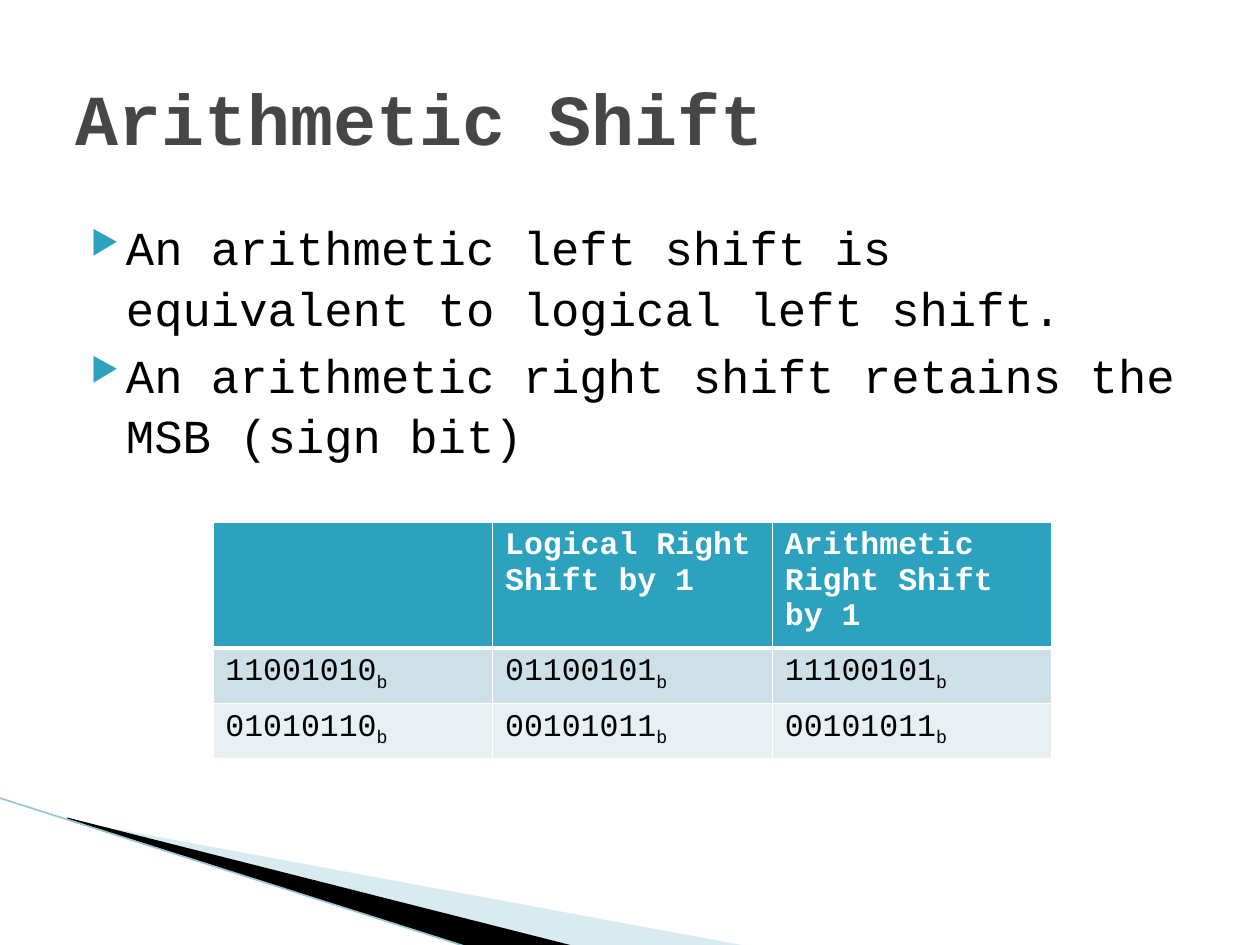
"""Build the slide that explains the arithmetic shift."""
from lxml import etree
from pptx import Presentation
from pptx.dml.color import RGBColor
from pptx.enum.shapes import MSO_CONNECTOR
from pptx.enum.text import MSO_ANCHOR
from pptx.oxml.ns import qn
from pptx.util import Cm, Pt

STRAIGHT = MSO_CONNECTOR.STRAIGHT
TOP, MIDDLE = MSO_ANCHOR.TOP, MSO_ANCHOR.MIDDLE
FONT = "Courier New"
ACCENT, BLACK, WHITE, GREY = "2DA2BF", "000000", "FFFFFF", "464646"
PALE, RULE = "A0CBDC", "97C5D8"
BAND_FILLS = ("CDE0E8", "E8F0F4")


def rgb(code):
    return RGBColor.from_string(code)


def add_element(parent, tag, **attributes):
    element = etree.SubElement(parent, qn(tag))
    for key, value in attributes.items():
        element.set(key, str(value))
    return element


class SlideBuilder:
    def __init__(self, slide):
        self.slide = slide
        self.shapes = slide.shapes

    def style(self, paragraph, size, color, bold=False):
        font = paragraph.font
        font.name, font.size, font.bold = FONT, Pt(size), bold
        font.color.rgb = rgb(color)

    def wedge(self, points, color, opacity=None):
        corners = [(Cm(x), Cm(y)) for x, y in points]
        outline = self.shapes.build_freeform(*corners[0])
        outline.add_line_segments(corners[1:], close=True)
        wedge = outline.convert_to_shape()
        wedge.shadow.inherit = False
        wedge.fill.solid()
        wedge.fill.fore_color.rgb = rgb(color)
        wedge.line.fill.background()
        if opacity is not None:
            tint = wedge.fill._xPr.find(".//" + qn("a:srgbClr"))
            add_element(tint, "a:alpha", val=opacity * 1000)

    def line(self, start, end, color, width):
        rule = self.shapes.add_connector(STRAIGHT, *map(Cm, start + end))
        rule.line.color.rgb = rgb(color)
        rule.line.width = Pt(width)
        add_element(rule._element.spPr, "a:effectLst")

    def text_frame(self, left, top, width, height, anchor=TOP):
        frame = self.shapes.add_textbox(*map(Cm, (left, top, width, height))).text_frame
        frame.word_wrap = True
        frame.vertical_anchor = anchor
        return frame

    def title(self, text, *box):
        frame = self.text_frame(*box, anchor=MIDDLE)
        frame.text = text
        self.style(frame.paragraphs[0], 41, GREY, bold=True)

    def bullets(self, points, *box):
        frame = self.text_frame(*box)
        frame.margin_top = Cm(0.23)
        frame.text = "\n".join(points)
        for index, paragraph in enumerate(frame.paragraphs):
            paragraph.line_spacing = 1.06
            paragraph.space_before = Pt(4 if index else 0)
            properties = paragraph._p.get_or_add_pPr()
            properties.set("marL", str(Cm(1.02)))
            properties.set("indent", str(Cm(-0.71)))
            add_element(add_element(properties, "a:buClr"), "a:srgbClr", val=ACCENT)
            add_element(properties, "a:buSzPct", val=68000)
            add_element(properties, "a:buChar", char="▶")
            self.style(paragraph, 27, BLACK)

    def borders(self, cell, bottom):
        properties = cell._tc.get_or_add_tcPr()
        for index, (side, width) in enumerate(zip("LRTB", (1, 1, 1, bottom))):
            edge = etree.Element(qn(f"a:ln{side}"), w=str(Pt(width)))
            add_element(add_element(edge, "a:solidFill"), "a:srgbClr", val=WHITE)
            properties.insert(index, edge)

    def cell(self, cell, text, fill, color, header):
        cell.fill.solid()
        cell.fill.fore_color.rgb = rgb(fill)
        self.borders(cell, 3 if header else 1)
        paragraph = cell.text_frame.paragraphs[0]
        self.style(paragraph, 18, color, bold=header)
        if text:
            paragraph.add_run().text = text
        if not header:
            base = paragraph.add_run()
            base.text = "b"
            base._r.get_or_add_rPr().set("baseline", "-25000")

    def table(self, rows, left, top, column_width, row_height):
        columns = len(rows[0])
        table = self.shapes.add_table(
            len(rows), columns, Cm(left), Cm(top),
            Cm(column_width * columns), Cm(row_height * len(rows))).table
        for r, row in enumerate(rows):
            header = r == 0
            fill = ACCENT if header else BAND_FILLS[(r - 1) % 2]
            for c, text in enumerate(row):
                self.cell(table.cell(r, c), text, fill, WHITE if header else BLACK, header)


def main():
    presentation = Presentation()
    presentation.slide_width, presentation.slide_height = Cm(25.4), Cm(19.05)
    builder = SlideBuilder(presentation.slides.add_slide(presentation.slide_layouts[6]))
    builder.wedge([(1.4, 16.54), (15.11, 19.08), (11.58, 19.08), (1.4, 16.51)], PALE, 40)
    builder.wedge([(1.35, 16.48), (11.61, 19.08), (9.45, 19.1), (1.37, 16.51)], BLACK)
    builder.line((-0.03, 16.08), (9.45, 19.1), RULE, 0.95)
    builder.bullets(
        ["An arithmetic left shift is equivalent to logical left shift.",
         "An arithmetic right shift retains the MSB (sign bit)"],
        1.27, 4.11, 22.86, 12.57)
    builder.title("Arithmetic Shift", 1.27, 0.76, 22.86, 3.18)
    shifts = [
        ("", "Logical Right Shift by 1", "Arithmetic Right Shift by 1"),
        ("11001010", "01100101", "11100101"),
        ("01010110", "00101011", "00101011"),
    ]
    builder.table(shifts, 4.29, 10.52, 5.64, 1.04)
    presentation.save("out.pptx")


if __name__ == "__main__":
    main()
